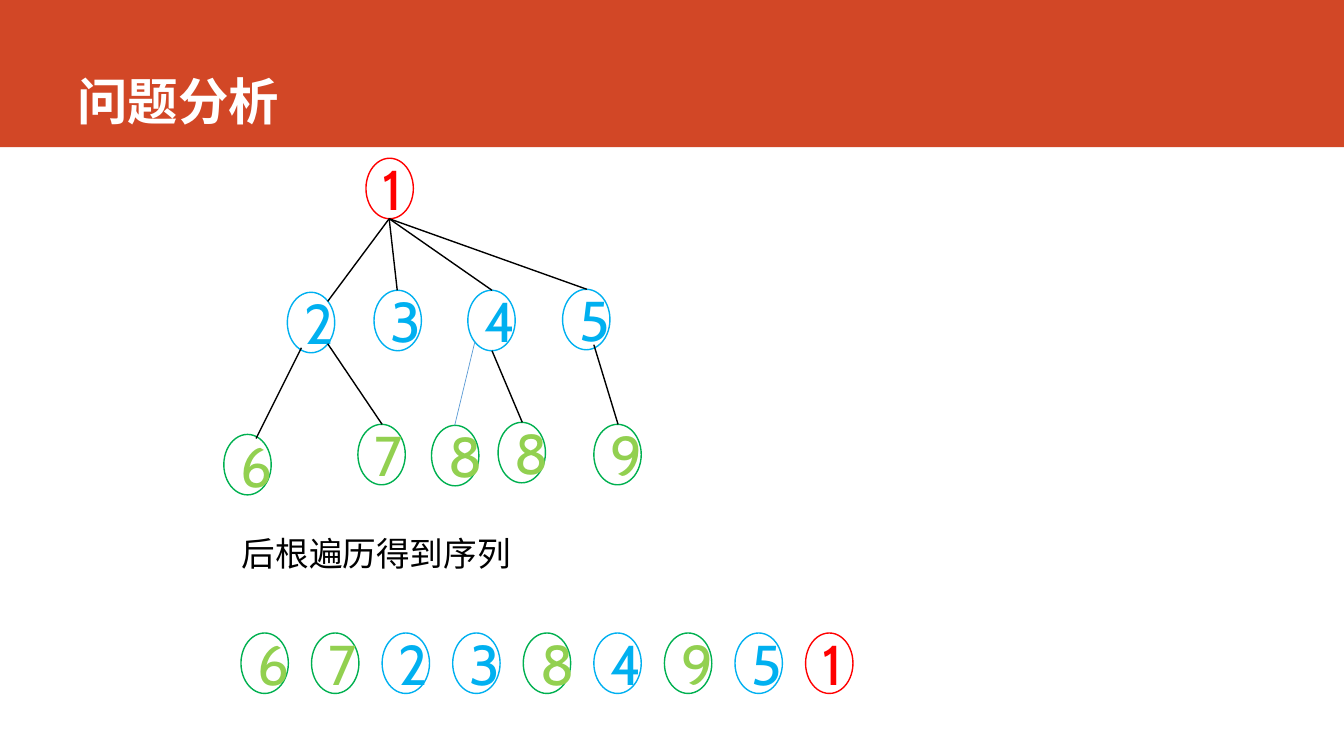
import pptx
import pptx.dml.color
import pptx.enum.shapes
import pptx.enum.text
import pptx.oxml.ns
import pptx.util
from lxml import etree

Inches = pptx.util.Inches
MSO_SHAPE = pptx.enum.shapes.MSO_SHAPE
ANCHOR = pptx.enum.text.MSO_ANCHOR
ALIGN = pptx.enum.text.PP_ALIGN
qn = pptx.oxml.ns.qn

THEME = {
    "banner": "D24726", "title": "FFFFFF", "ink": "000000", "thin_edge": "5B9BD5",
    # outline and digit colour for each level of the tree
    "root": ("FF0000", "FF0000"),
    "branch": ("00B0F0", "00B0F0"),
    "leaf": ("00B050", "92D050"),
    "title_size": 36, "digit_size": 40, "caption_size": 24,
    "title_font": "Noto Sans CJK SC", "digit_font": "Cabin", "caption_font": "Calibri",
}
LEVEL = {"1": "root", **dict.fromkeys("2345", "branch"), **dict.fromkeys("6789", "leaf")}
NODE_W, NODE_H = 0.47, 0.6


def rgb(value):
    return pptx.dml.color.RGBColor.from_string(value)


def write(shape, text, font, size, color, bold=False, align=ALIGN.LEFT, anchor=ANCHOR.TOP):
    frame = shape.text_frame
    frame.word_wrap = True
    frame.vertical_anchor = anchor
    paragraph = frame.paragraphs[0]
    paragraph.alignment = align
    run = paragraph.add_run()
    run.text = text
    run.font.name = font
    run.font.size = pptx.util.Pt(size)
    run.font.bold = bold
    run.font.color.rgb = rgb(color)
    etree.SubElement(run.font._element, qn("a:ea"), typeface=font)


deck = pptx.Presentation()
deck.slide_width, deck.slide_height = Inches(13.33), Inches(7.5)
slide = deck.slides.add_slide(deck.slide_layouts[6])
shapes = slide.shapes

# Title banner
banner = shapes.add_shape(MSO_SHAPE.RECTANGLE, 0, 0, deck.slide_width, Inches(1.46))
banner.shadow.inherit = False
banner.fill.solid()
banner.fill.fore_color.rgb = rgb(THEME["banner"])
banner.line.fill.background()
title = shapes.add_textbox(Inches(0.67), 0, Inches(11.75), Inches(1.34))
write(title, "问题分析", THEME["title_font"], THEME["title_size"], THEME["title"],
      bold=True, anchor=ANCHOR.BOTTOM)

# Nodes of the tree, then the post-order sequence at an even pitch
tree_nodes = [
    ("1", 3.63, 1.57),
    ("2", 2.85, 2.9), ("3", 3.71, 2.88), ("4", 4.64, 2.88), ("5", 5.58, 2.87),
    ("6", 2.22, 4.31), ("7", 3.55, 4.21), ("8", 4.28, 4.22), ("8", 4.94, 4.19),
    ("9", 5.89, 4.21),
]
sequence = [(digit, 2.39 + 0.7 * i, 6.28) for i, digit in enumerate("672384951")]
for digit, left, top in tree_nodes + sequence:
    outline, ink = THEME[LEVEL[digit]]
    node = shapes.add_shape(MSO_SHAPE.OVAL, Inches(left), Inches(top),
                            Inches(NODE_W), Inches(NODE_H))
    node.shadow.inherit = False
    node.fill.background()
    node.line.color.rgb = rgb(outline)
    node.line.width = pptx.util.Pt(1)
    write(node, digit, THEME["digit_font"], THEME["digit_size"], ink,
          align=ALIGN.CENTER, anchor=ANCHOR.MIDDLE)

# Edges from parent to child
root_foot = (3.86, 2.17)
edges = [(root_foot, child, "ink", 1)
         for child in [(3.25, 2.99), (3.94, 2.88), (4.88, 2.88), (5.82, 2.87)]]
edges += [
    ((2.99, 3.45), (2.54, 4.35), "ink", 1),
    ((3.25, 3.41), (3.79, 4.21), "ink", 1),
    ((4.88, 3.48), (5.18, 4.19), "ink", 1),
    ((5.89, 3.42), (6.13, 4.21), "ink", 1),
    ((4.71, 3.39), (4.51, 4.22), "thin_edge", 0.5),
]
for start, end, color, width in edges:
    edge = shapes.add_connector(pptx.enum.shapes.MSO_CONNECTOR.STRAIGHT,
                                *map(Inches, start + end))
    edge.line.color.rgb = rgb(THEME[color])
    edge.line.width = pptx.util.Pt(width)
    etree.SubElement(edge._element.spPr, qn("a:effectLst"))

# Caption above the sequence
caption = shapes.add_textbox(Inches(2.3), Inches(5.24), Inches(5.31), Inches(0.51))
write(caption, "后根遍历得到序列", THEME["caption_font"], THEME["caption_size"], THEME["ink"])

deck.save("out.pptx")
